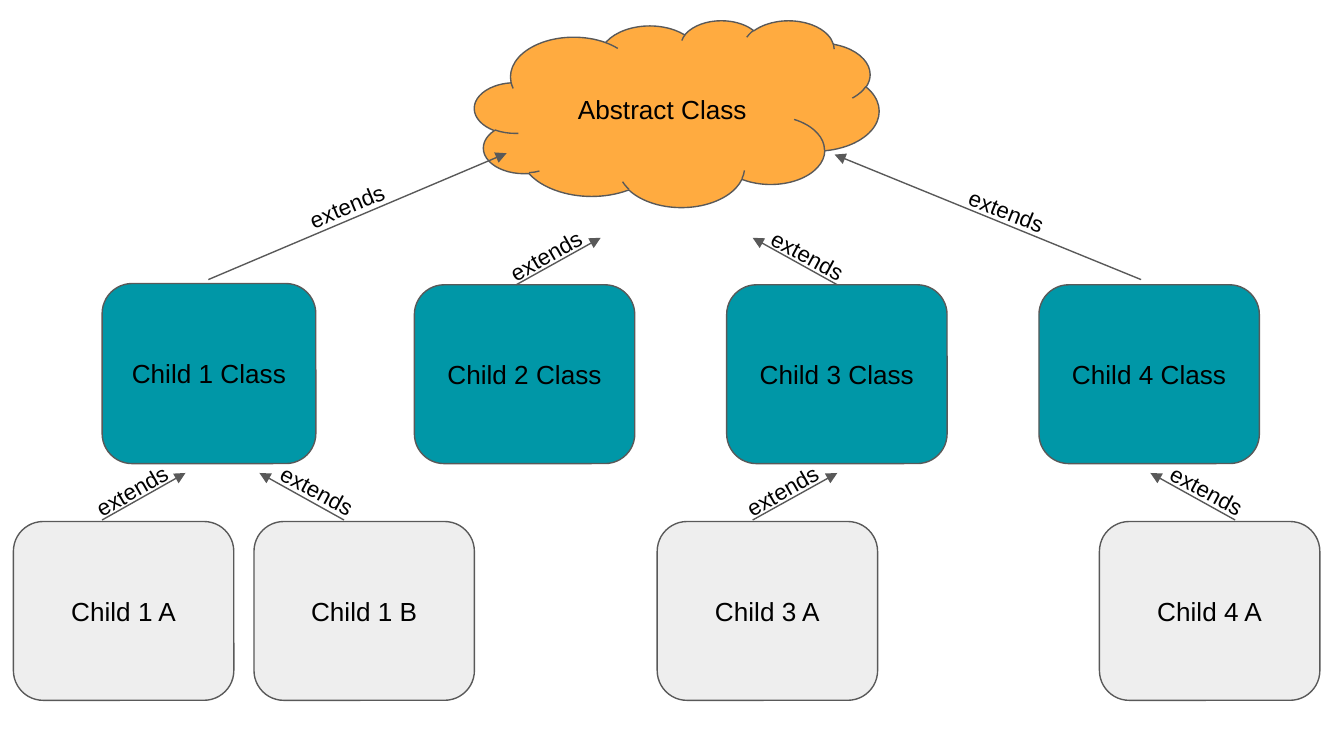
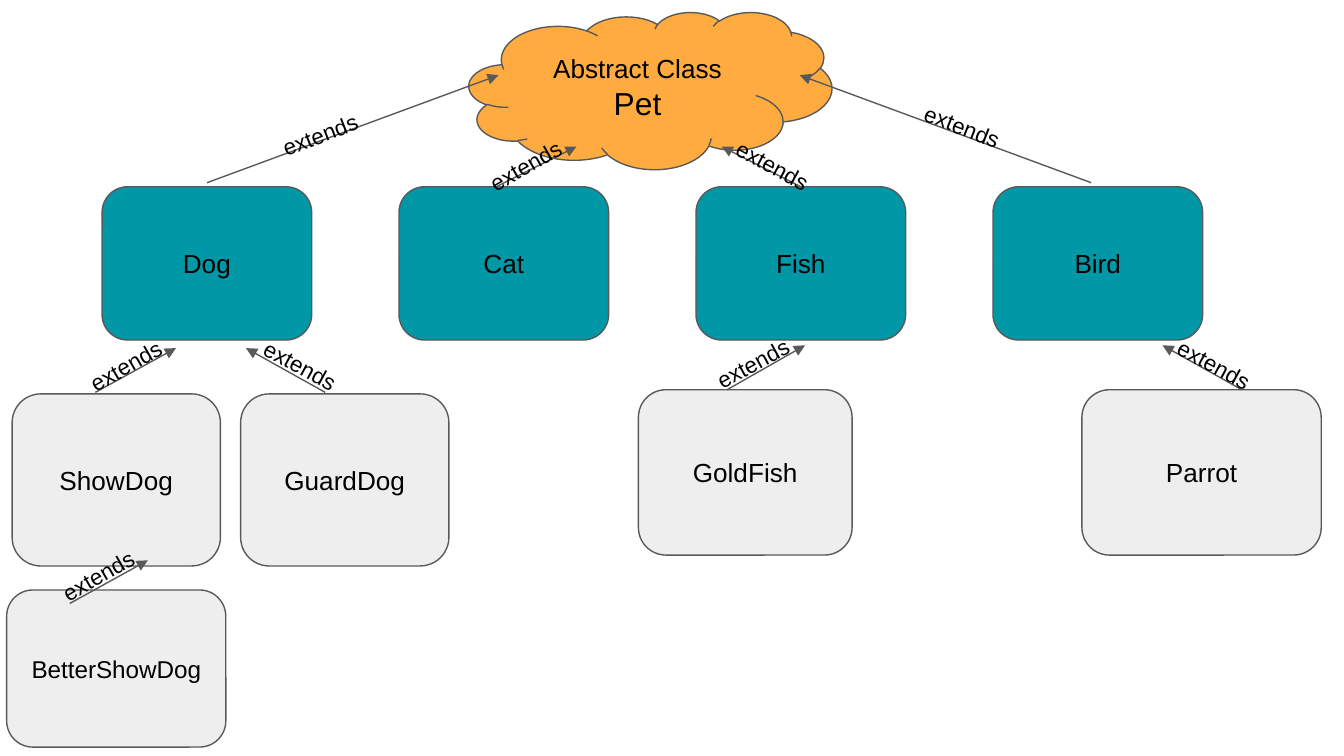
import lxml.etree
import pptx
import pptx.dml.color
import pptx.enum.shapes
import pptx.enum.text
import pptx.oxml.ns
import pptx.util

FONT = "Arial"
INK = "000000"
OUTLINE = "595959"
ABSTRACT = "FFAB40"
CHILD = "0097A7"
GRANDCHILD = "EEEEEE"
INSET = 7.2
LABEL_HEIGHT = 28.8
UP_RIGHT = 330
UP_LEFT = 28.5

CLOUD = pptx.enum.shapes.MSO_SHAPE.CLOUD
ROUNDED = pptx.enum.shapes.MSO_SHAPE.ROUNDED_RECTANGLE


def points(*lengths):
    return [pptx.util.Pt(length) for length in lengths]


def colour(hex_string):
    return pptx.dml.color.RGBColor.from_string(hex_string)


def style_line(line):
    line.color.rgb = colour(OUTLINE)
    line.width = pptx.util.Pt(0.75)


def write_text(shape, lines, anchor):
    frame = shape.text_frame
    frame.word_wrap = True
    frame.vertical_anchor = anchor
    frame.margin_left = frame.margin_right = pptx.util.Pt(INSET)
    frame.margin_top = frame.margin_bottom = pptx.util.Pt(INSET)
    for index, (text, size) in enumerate(lines):
        para = frame.add_paragraph() if index else frame.paragraphs[0]
        para.text = text
        para.alignment = pptx.enum.text.PP_ALIGN.CENTER
        para.font.name = FONT
        para.font.size = pptx.util.Pt(size)
        para.font.color.rgb = colour(INK)


def add_class(page, kind, bounds, fill, *lines):
    box = page.shapes.add_shape(kind, *points(*bounds))
    box.shadow.inherit = False
    box.fill.solid()
    box.fill.fore_color.rgb = colour(fill)
    style_line(box.line)
    write_text(box, lines, pptx.enum.text.MSO_ANCHOR.MIDDLE)


def add_children(page, names, left, top, pitch, width, height):
    for index, name in enumerate(names):
        bounds = (left + index * pitch, top, width, height)
        add_class(page, ROUNDED, bounds, CHILD, (name, 14))


def add_extends(page, start, end, label, angle):
    arrow = page.shapes.add_connector(
        pptx.enum.shapes.MSO_CONNECTOR.STRAIGHT, *points(*start, *end))
    style_line(arrow.line)
    properties = arrow.element.spPr
    qualify = pptx.oxml.ns.qn
    outline = properties.find(qualify("a:ln"))
    lxml.etree.SubElement(outline, qualify("a:tailEnd"), type="triangle")
    lxml.etree.SubElement(properties, qualify("a:effectLst"))

    box = page.shapes.add_textbox(*points(*label, LABEL_HEIGHT))
    write_text(box, [("extends", 12)], pptx.enum.text.MSO_ANCHOR.TOP)
    box.text_frame.auto_size = pptx.enum.text.MSO_AUTO_SIZE.SHAPE_TO_FIT_TEXT
    box.rotation = angle


def build_general_tree(page):
    add_class(page, CLOUD, (254.2, 10.8, 216.7, 100.1), ABSTRACT, ("Abstract Class", 14))
    add_class(page, ROUNDED, (54.7, 151.9, 114.5, 96.5), CHILD, ("Child 1 Class", 14))
    names = [f"Child {number} Class" for number in (2, 3, 4)]
    add_children(page, names, 222, 152.6, 167.3, 118.1, 95.8)
    for name, left in [("Child 1 A", 7.2), ("Child 1 B", 136.1),
                       ("Child 3 A", 352.1), ("Child 4 A", 589)]:
        add_class(page, ROUNDED, (left, 279.4, 118.1, 95.8), GRANDCHILD, (name, 14))

    add_extends(page, (111.6, 149.8), (271.4, 82.1), (140.4, 95.8, 90.7), 337.4)
    add_extends(page, (611.3, 149.8), (447.1, 82.8), (491, 98.6, 96.5), 21.4)
    for start, end, label_left, bottom, angle in [
            (276.5, 321.8, 244.1, 152.6, UP_RIGHT),
            (448.6, 403.2, 384.5, 152.6, UP_LEFT),
            (54.7, 99.4, 22.3, 278.6, UP_RIGHT),
            (184.3, 139, 121.7, 278.6, UP_LEFT),
            (403.2, 448.6, 370.8, 278.6, UP_RIGHT),
            (661.7, 616.3, 598.3, 278.6, UP_LEFT)]:
        add_extends(page, (start, bottom), (end, bottom - 25.2),
                    (label_left, bottom - 30.2, 96.5), angle)


def build_pet_tree(page):
    add_class(page, CLOUD, (251.3, 6.5, 194.4, 84.2), ABSTRACT,
              ("Abstract Class", 14), ("Pet", 17))
    add_children(page, ["Dog", "Cat", "Fish", "Bird"], 54.7, 100.1, 159.1, 112.3, 82.1)
    for name, size, *bounds in [
            ("ShowDog", 14, 6.5, 211, 111.6, 92.2),
            ("GuardDog", 14, 128.9, 211, 111.6, 92.2),
            ("GoldFish", 14, 342, 208.8, 114.5, 88.6),
            ("Parrot", 14, 579.6, 208.8, 128.2, 88.6),
            ("BetterShowDog", 13, 3.6, 316.1, 117.4, 84.2)]:
        add_class(page, ROUNDED, bounds, GRANDCHILD, (name, size))

    for start, end, label, angle in [
            ((110.9, 97.9), (267.1, 40.3), (125.3, 57.6, 92.2), 338.8),
            ((265.7, 100.1), (308.9, 78.5), (235.4, 74.2, 92.2), UP_RIGHT),
            ((429.1, 100.1), (386.6, 78.5), (367.9, 74.2, 92.2), UP_LEFT),
            ((584.6, 97.9), (428.4, 40.3), (469.4, 53.3, 92.2), 21.4),
            ((51.1, 210.2), (94.3, 186.5), (21.6, 181.4, 91.4), UP_RIGHT),
            ((174.2, 210.2), (131.8, 186.5), (115.2, 181.4, 91.4), UP_LEFT),
            ((389.5, 208.8), (431.3, 185), (358.6, 180, 89.3), 331.4),
            ((665.3, 208.8), (622.8, 185), (605.5, 180.7, 90), UP_LEFT),
            ((37.4, 323.3), (79.2, 300.2), (7.9, 293.8, 89.3), UP_RIGHT)]:
        add_extends(page, start, end, label, angle)


def main():
    deck = pptx.Presentation()
    deck.slide_width, deck.slide_height = points(720, 405)
    for build in (build_general_tree, build_pet_tree):
        build(deck.slides.add_slide(deck.slide_layouts[6]))
    deck.save("out.pptx")


if __name__ == "__main__":
    main()
